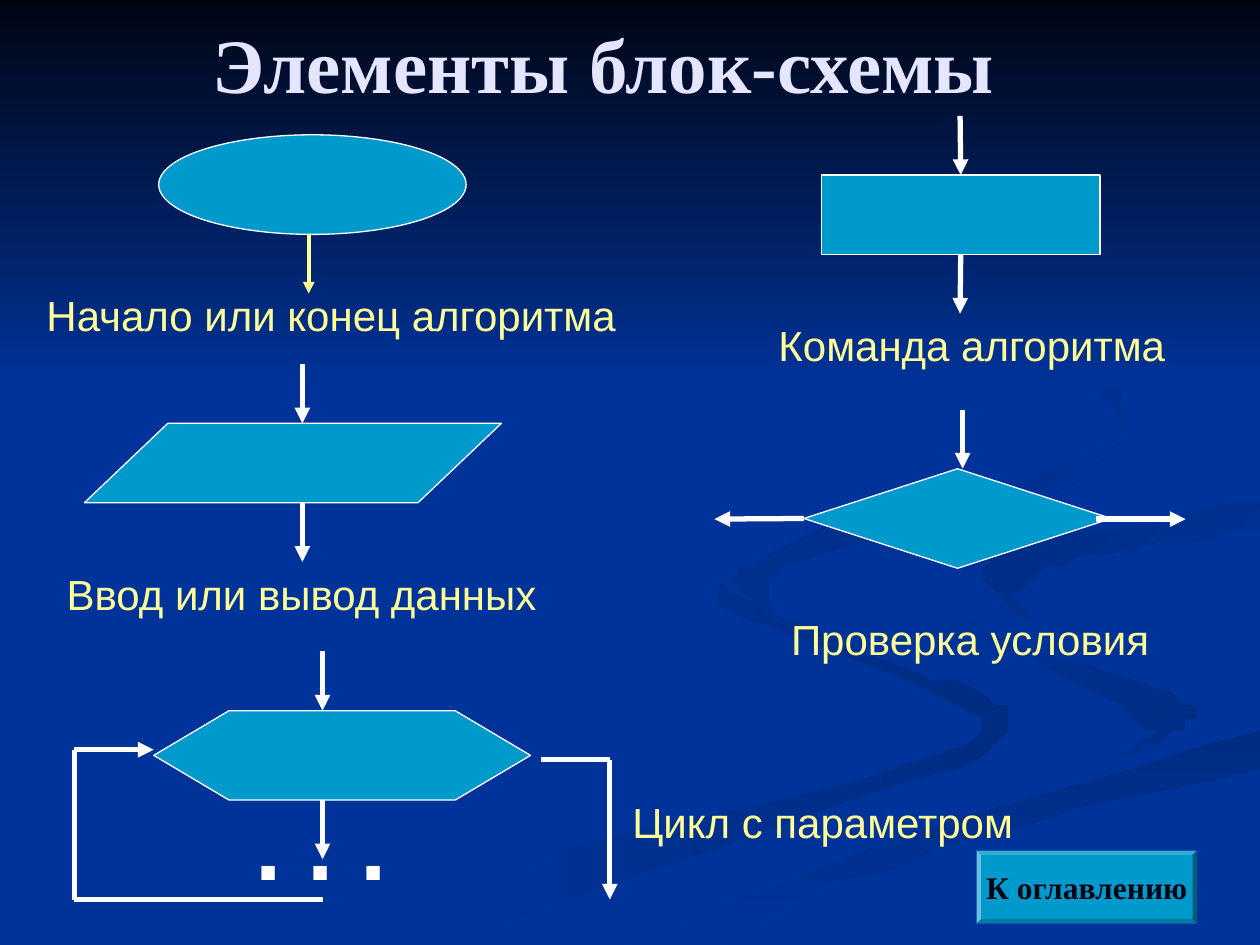
from dataclasses import dataclass
from itertools import pairwise
from typing import Optional

from lxml.etree import SubElement
from pptx import Presentation
from pptx.dml.color import RGBColor
from pptx.enum.shapes import MSO_CONNECTOR as Connector, MSO_SHAPE as Preset
from pptx.enum.text import MSO_ANCHOR as Anchor, MSO_AUTO_SIZE as AutoSize, PP_ALIGN as Align
from pptx.oxml.ns import qn
from pptx.util import Inches, Pt

COLORS = {
    "background": "003399", "night": "000514", "shade": "002C84", "title": "E5E5FF",
    "symbol": "0099CC", "white": "FFFFFF", "label": "FFFF99",
}
SANS, SERIF = "Arial", "Times New Roman"
COLUMNS, ROWS = 100, 75  # the grid that all positions and sizes refer to
ARROW = 4.7  # rows taken by an arrow into or out of a symbol
TOP, LEFT, BOTTOM = 0, 1, 2  # connection sites

presentation = Presentation()
presentation.slide_width, presentation.slide_height = Inches(10), Inches(7.5)
COLUMN = presentation.slide_width / COLUMNS
ROW = presentation.slide_height / ROWS


@dataclass
class Box:
    column: float
    row: float
    width: float
    height: float

    def emu(self) -> tuple:
        return (round(self.column * COLUMN), round(self.row * ROW),
                round(self.width * COLUMN), round(self.height * ROW))


@dataclass
class Symbol:
    preset: Preset
    box: Box
    axis: float  # column of the arrows in and out
    label: str
    label_box: Box
    enters: bool = True
    leaves: bool = True
    color: str = "white"
    weight: float = 3


@dataclass
class Ribbon:
    first: str
    last: str
    angle: int
    edges: list  # each edge is a smooth curve through its points


def rgb(name: str) -> RGBColor:
    return RGBColor.from_string(COLORS[name])


def write(shape, text: str, *, size: float, color: str, font=SANS, bold=False,
          align=Align.LEFT, anchor=Anchor.TOP, wrap=True) -> None:
    frame = shape.text_frame
    frame.auto_size = AutoSize.NONE
    frame.word_wrap, frame.vertical_anchor = wrap, anchor
    paragraph = frame.paragraphs[0]
    paragraph.text, paragraph.alignment = text, align
    paragraph.font.name, paragraph.font.size, paragraph.font.bold = font, Pt(size), bold
    paragraph.font.color.rgb = rgb(color)


def fill_gradient(shape, first: str, last: str, angle: int) -> None:
    """Fill with two colours; the angle runs clockwise."""
    shape.shadow.inherit = False
    shape.line.fill.background()
    shape.fill.gradient()
    shape.fill.gradient_angle = (360 - angle) % 360
    for stop, color in zip(shape.fill.gradient_stops, (first, last)):
        stop.color.rgb = rgb(color)


def smooth(points: list, steps: int = 5) -> list:
    """Catmull-Rom curve through the points."""
    padded = [points[0], *points, points[-1]]
    curve = []
    for a, b, c, d in zip(padded, padded[1:], padded[2:], padded[3:]):
        for step in range(steps):
            t = step / steps
            curve.append(tuple(
                q + t * (r - p) / 2 + t**2 * (p - 2.5 * q + 2 * r - s / 2)
                + t**3 * (3 * (q - r) + s - p) / 2
                for p, q, r, s in zip(a, b, c, d)))
    return [*curve, points[-1]]


def add_ribbon(shapes, ribbon: Ribbon) -> None:
    outline = [point for edge in ribbon.edges for point in smooth(edge)]
    builder = shapes.build_freeform(*outline[0], scale=(COLUMN, ROW))
    builder.add_line_segments(outline[1:], close=True)
    fill_gradient(builder.convert_to_shape(), ribbon.first, ribbon.last, ribbon.angle)


def add_preset(shapes, preset: Preset, box: Box, outline: Optional[str] = "white"):
    shape = shapes.add_shape(preset, *box.emu())
    shape.shadow.inherit = False
    shape.fill.solid()
    shape.fill.fore_color.rgb = rgb("symbol")
    if outline:
        shape.line.color.rgb, shape.line.width = rgb(outline), Pt(0.75)
    else:
        shape.line.fill.background()
    return shape


def add_route(shapes, points: list, color="white", weight=3.0) -> list:
    """Straight connectors from point to point, the last one with an arrowhead."""
    connectors = []
    for (x1, y1), (x2, y2) in pairwise(points):
        connector = shapes.add_connector(
            Connector.STRAIGHT, round(x1 * COLUMN), round(y1 * ROW),
            round(x2 * COLUMN), round(y2 * ROW))
        connector.line.color.rgb, connector.line.width = rgb(color), Pt(weight)
        SubElement(connector._element.spPr, qn("a:effectLst"))
        connectors.append(connector)
    SubElement(connectors[-1].line._get_or_add_ln(), qn("a:tailEnd"), type="triangle")
    return connectors


def add_symbol(shapes, symbol: Symbol):
    shape = add_preset(shapes, symbol.preset, symbol.box)
    top, bottom = symbol.box.row, symbol.box.row + symbol.box.height
    joined = symbol.preset == Preset.FLOWCHART_PROCESS
    if symbol.enters:
        [arrow] = add_route(shapes, [(symbol.axis, top - ARROW), (symbol.axis, top)],
                            symbol.color, symbol.weight)
        if joined:
            arrow.end_connect(shape, TOP)
    if symbol.leaves:
        [arrow] = add_route(shapes, [(symbol.axis, bottom), (symbol.axis, bottom + ARROW)],
                            symbol.color, symbol.weight)
        if joined:
            arrow.begin_connect(shape, BOTTOM)
    write(shapes.add_textbox(*symbol.label_box.emu()), symbol.label, size=24, color="label")
    return shape


RIBBONS = [
    Ribbon("background", "shade", 0, [
        [(57, 46), (67, 51), (78, 55), (80, 58), (72, 62), (36, 75)],
        [(30, 75), (46, 67), (68, 62), (78, 57), (59, 49), (57, 46)]]),
    Ribbon("background", "shade", 45, [
        [(72, 46), (76, 50), (93, 55), (94, 58), (89, 60)],
        [(92, 58), (85, 54), (72, 46)]]),
    Ribbon("shade", "background", 90, [
        [(50, 75), (70, 67), (99.8, 58)], [(99.8, 61), (75, 67), (57, 75)]]),
    Ribbon("shade", "background", 45, [
        [(99.8, 40), (82, 43), (78, 46), (83, 50)], [(80, 47), (86, 44), (99.8, 42)]]),
    Ribbon("shade", "background", 45, [
        [(76, 23), (87, 29), (89, 35), (82, 40), (62, 45), (62, 50)],
        [(58, 46), (65, 42), (82, 38), (89, 33), (76, 23)]]),
]

SYMBOLS = [
    Symbol(Preset.FLOWCHART_CONNECTOR, Box(12.6, 10.7, 24.4, 7.9), 24.5,
           "Начало или конец алгоритма", Box(2.7, 22.5, 48.8, 5),
           enters=False, color="label", weight=2.25),
    Symbol(Preset.FLOWCHART_PROCESS, Box(65.2, 13.9, 22.1, 6.3), 76.2,
           "Команда алгоритма", Box(60.8, 24.9, 33.9, 5)),
    Symbol(Preset.FLOWCHART_DATA, Box(6.7, 33.6, 33.1, 6.3), 24,
           "Ввод или вывод данных", Box(4.3, 44.6, 40.2, 5)),
    Symbol(Preset.FLOWCHART_DECISION, Box(63.8, 37.2, 24.4, 7.9), 76.4,
           "Проверка условия", Box(61.8, 48.2, 32.3, 5), leaves=False),
    Symbol(Preset.FLOWCHART_PREPARATION, Box(12.2, 56.4, 29.9, 7.1), 25.6,
           "Цикл с параметром", Box(49.2, 62.7, 50.8, 5)),
]

slide = presentation.slides.add_slide(presentation.slide_layouts[5])
shapes = slide.shapes

# Backdrop: ribbons and a dark band fading downwards
slide.background.fill.solid()
slide.background.fill.fore_color.rgb = rgb("background")
for ribbon in RIBBONS:
    add_ribbon(shapes, ribbon)
band = shapes.add_shape(Preset.RECTANGLE, *Box(0, 0, COLUMNS, 30.8).emu())
fill_gradient(band, "night", "background", 90)

# Title, brought in front of the backdrop
title = shapes.title
title.left, title.top, title.width, title.height = Box(10.8, 0, 74.2, 10).emu()
write(title, "Элементы блок-схемы", size=44, color="title", font=SERIF, bold=True,
      align=Align.CENTER, anchor=Anchor.MIDDLE)
shapes._spTree.append(title._element)

# Flowchart symbols with captions
_, _, _, decision, loop = [add_symbol(shapes, symbol) for symbol in SYMBOLS]

# Branches of the decision
[branch] = add_route(shapes, [(63.8, 41.2), (56.7, 41.2)])
branch.begin_connect(decision, LEFT)
add_route(shapes, [(87, 41.2), (94.1, 41.2)])

# Loop: way back, way out and body
add_route(shapes, [(25.6, 71.4), (5.9, 71.4), (5.9, 59.5), (12.2, 59.5)])
add_route(shapes, [(42.9, 60.3), (48.4, 60.3), (48.4, 71.4)])
body = shapes.add_textbox(*Box(19.3, 61.9, 21.3, 10).emu())
write(body, ". . .", size=54, color="white", bold=True)

# Button back to the contents
button = add_preset(shapes, Preset.BEVEL, Box(77.5, 67.5, 17.5, 5.8), outline=None)
button.adjustments[0] = 0.06
write(button, "К оглавлению", size=18, color="night", font=SERIF, bold=True,
      align=Align.CENTER, anchor=Anchor.MIDDLE, wrap=False)

presentation.save("out.pptx")
